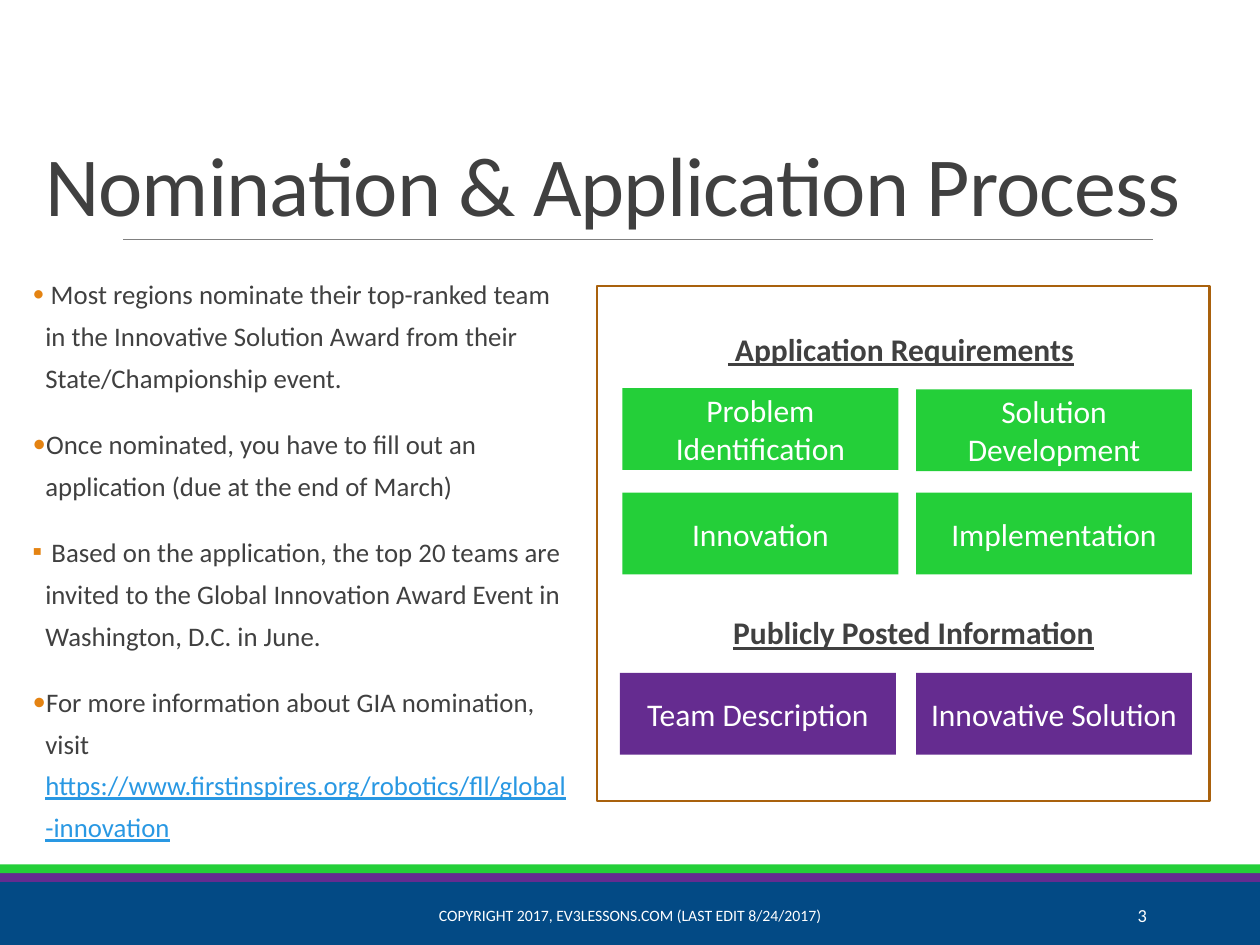
from lxml import etree
from pptx import Presentation
from pptx import util as u
from pptx.dml.color import RGBColor
from pptx.enum import shapes, text
from pptx.oxml.ns import qn

WIDE, HIGH = u.Inches(10), u.Inches(7.5)
FONT = "Calibri"
HUES = {
    "navy": "034A85", "plum": "652C90", "green": "24CF39", "rule": "808080",
    "frame": "A9610D", "ink": "404040", "white": "FFFFFF", "mark": "E48312",
    "link": "2998E3",
}
LEFT, RIGHT = 49.4, 72.7
CARDS = [
    ("Problem Identification", LEFT, 41.07, "green"),
    ("Innovation", LEFT, 52.13, "green"),
    ("Solution Development", RIGHT, 41.2, "green"),
    ("Implementation", RIGHT, 52.13, "green"),
    ("Team Description", 49.2, 71.2, "plum"),
    ("Innovative Solution", RIGHT, 71.2, "plum"),
]
HEADS = [
    (" Application Requirements", 55.4, 32.27),
    ("Publicly Posted Information", 56.4, 62.27),
]
POINTS = [
    ("•", [(" ", 13.6, "ink"),
           ("Most regions nominate their top-ranked team in the Innovative "
            "Solution Award from their State/Championship event.", 15.3, "ink")]),
    ("•", [("Once nominated, you have to fill out an application "
            "(due at the end of March)", 15.3, "ink")]),
    ("▪", [(" Based on the application, the top 20 teams are invited to the "
            "Global Innovation Award Event in Washington, D.C. in June.", 15.3, "ink")]),
    ("•", [("For more information about GIA nomination, visit ", 15.3, "ink"),
           ("https://www.firstinspires.org/robotics/fll/global-innovation",
            15.3, "link")]),
]


def hue(name):
    return RGBColor.from_string(HUES[name])


def area(x, y, w, h):
    return [round(WIDE * x / 100), round(HIGH * y / 100),
            round(WIDE * w / 100), round(HIGH * h / 100)]


def add_run(para, words, size, color, bold=None, under=None):
    run = para.add_run()
    run.text = words
    font = run.font
    font.name, font.size = FONT, u.Pt(size)
    font.bold, font.underline = bold, under
    font.color.rgb = hue(color)
    return run


def add_box(slide, place, color=None, edge=None):
    box = slide.shapes.add_shape(shapes.MSO_SHAPE.RECTANGLE, *area(*place))
    box.shadow.inherit = False
    if color:
        box.fill.solid()
        box.fill.fore_color.rgb = hue(color)
    else:
        box.fill.background()
    if edge:
        box.line.color.rgb = hue(edge)
        box.line.width = u.Pt(1.25)
    else:
        box.line.fill.background()
    return box


def add_text(slide, place, anchor="TOP", side=0.1):
    frame = slide.shapes.add_textbox(*area(*place)).text_frame
    frame.word_wrap = True
    frame.vertical_anchor = text.MSO_ANCHOR[anchor]
    frame.margin_left = frame.margin_right = u.Inches(side)
    return frame


def add_rule(slide, x, y, end):
    line = slide.shapes.add_connector(
        shapes.MSO_CONNECTOR.STRAIGHT, *area(x, y, end, y))
    line.line.color.rgb = hue("rule")
    line.line.width = u.Pt(0.5)
    etree.SubElement(line._element.spPr, qn("a:effectLst"))


def add_card(slide, words, x, y, color):
    frame = add_box(slide, (x, y, 21.9, 8.67), color).text_frame
    frame.word_wrap = True
    frame.vertical_anchor = text.MSO_ANCHOR.MIDDLE
    para = frame.paragraphs[0]
    para.alignment = text.PP_ALIGN.CENTER
    add_run(para, words, 18, "white")


def add_head(slide, words, x, y):
    para = add_text(slide, (x, y, 32.2, 9.73), side=0).paragraphs[0]
    para.alignment = text.PP_ALIGN.CENTER
    para.line_spacing = 1.5
    para.space_after = u.Pt(2)
    add_run(para, words, 18, "ink", True, True)


def add_foot(slide, words, x, w, size, align):
    para = add_text(slide, (x, 94.13, w, 5.33), "MIDDLE").paragraphs[0]
    para.alignment = text.PP_ALIGN[align]
    add_run(para, words, size, "white")


def add_mark(para, sign):
    props = para._p.get_or_add_pPr()
    props.set("marL", str(u.Inches(0.1)))
    props.set("indent", str(-u.Inches(0.1)))
    tint = etree.SubElement(props, qn("a:buClr"))
    etree.SubElement(tint, qn("a:srgbClr"), val=HUES["mark"])
    etree.SubElement(props, qn("a:buFont"), typeface=FONT)
    etree.SubElement(props, qn("a:buChar"), char=sign)


def add_list(slide):
    frame = add_text(slide, (2.6, 27.73, 42.8, 61.47), side=0)
    for spot, (sign, parts) in enumerate(POINTS):
        para = frame.add_paragraph() if spot else frame.paragraphs[0]
        add_mark(para, sign)
        para.line_spacing = 1.3
        if spot:
            para.space_before = u.Pt(12)
        para.space_after = u.Pt(2)
        for words, size, color in parts:
            add_run(para, words, size, color, under=color == "link" or None)


def add_title(slide):
    para = add_text(slide, (2.6, 4.13, 94.9, 21.2), "BOTTOM").paragraphs[0]
    para.line_spacing = 0.85
    run = add_run(para, "Nomination & Application Process", 48, "ink")
    run._r.get_or_add_rPr().set("spc", "-50")


def main():
    deck = Presentation()
    deck.slide_width, deck.slide_height = WIDE, HIGH
    slide = deck.slides.add_slide(deck.slide_layouts[6])
    for y, h, color in [(93.33, 6.67, "navy"), (92.4, 0.93, "plum"),
                        (91.47, 0.93, "green")]:
        add_box(slide, (0, y, 100, h), color)
    add_rule(slide, 9.8, 25.33, 91.5)
    add_box(slide, (47.4, 30.27, 48.6, 54.53), edge="frame")
    add_title(slide)
    add_list(slide)
    add_foot(slide, "COPYRIGHT 2017, EV3LESSONS.COM (LAST EDIT 8/24/2017)",
             30.2, 39.6, 9, "CENTER")
    add_foot(slide, "3", 81.2, 10.8, 10.5, "RIGHT")
    for card in CARDS:
        add_card(slide, *card)
    for head in HEADS:
        add_head(slide, *head)
    deck.save("out.pptx")


if __name__ == "__main__":
    main()
